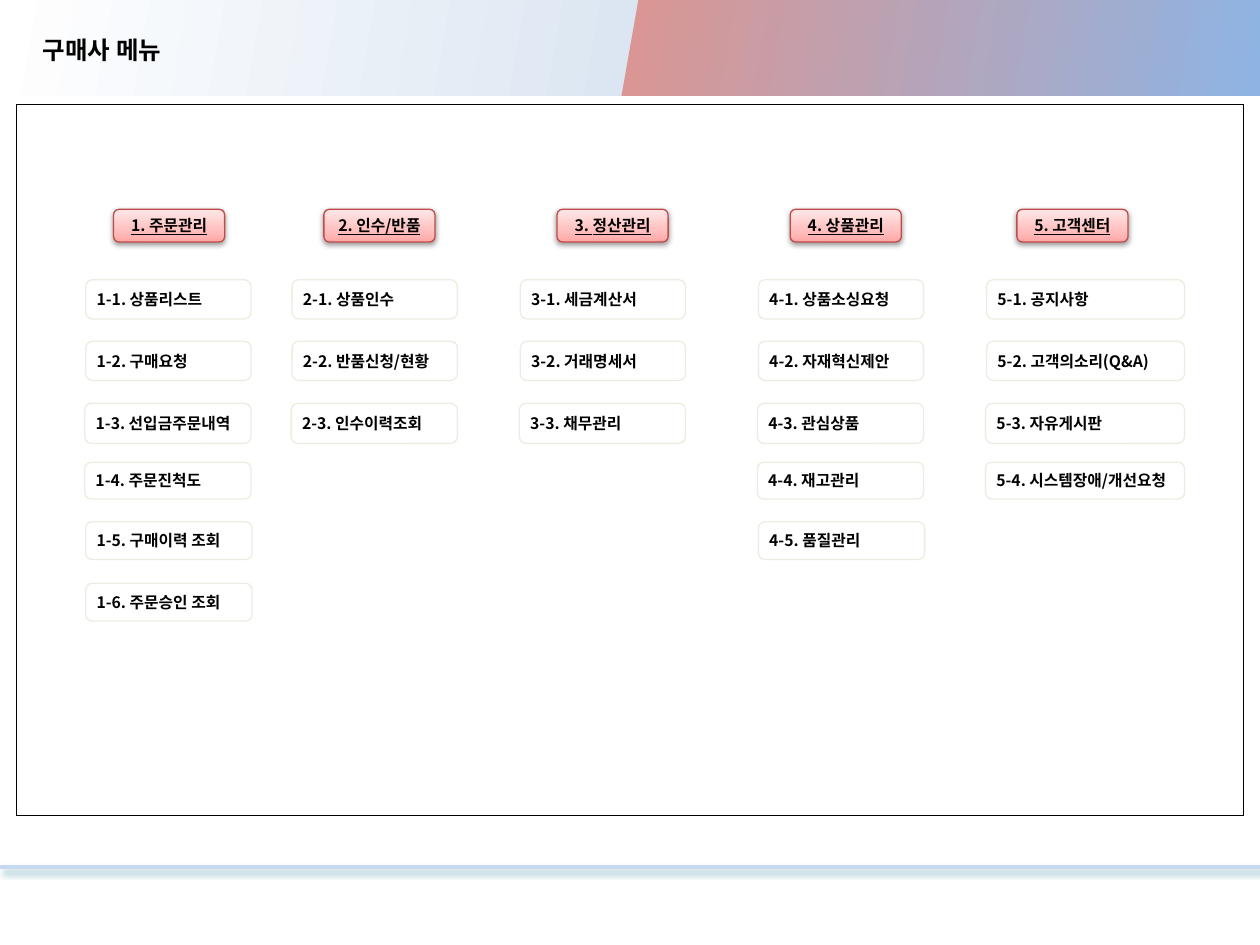
from dataclasses import dataclass

from lxml import etree
from pptx import Presentation
from pptx.dml.color import RGBColor
from pptx.enum.shapes import MSO_CONNECTOR, MSO_SHAPE
from pptx.enum.text import MSO_ANCHOR, MSO_AUTO_SIZE, PP_ALIGN
from pptx.oxml.ns import qn
from pptx.util import Cm, Pt

RECT = MSO_SHAPE.RECTANGLE
ROUND_RECT = MSO_SHAPE.ROUNDED_RECTANGLE
STRAIGHT = MSO_CONNECTOR.STRAIGHT
MIDDLE = MSO_ANCHOR.MIDDLE
NO_FIT = MSO_AUTO_SIZE.NONE
LEFT, CENTER = PP_ALIGN.LEFT, PP_ALIGN.CENTER

WHITE = RGBColor(0xFF, 0xFF, 0xFF)
BLACK = RGBColor(0x00, 0x00, 0x00)
PALE_BLUE = RGBColor(0xDC, 0xE6, 0xF2)
ROSE = RGBColor(0xD9, 0x96, 0x94)
SKY = RGBColor(0x8E, 0xB4, 0xE3)
RULE_BLUE = RGBColor(0xC6, 0xD9, 0xF1)
TEAL = RGBColor(0x31, 0x85, 0x9C)
PINK = RGBColor(0xFF, 0xA6, 0xA5)
MID_PINK = RGBColor(0xFF, 0xC0, 0xBF)
PALE_PINK = RGBColor(0xFF, 0xE7, 0xE7)
RED = RGBColor(0xBF, 0x4C, 0x48)
CREAM = RGBColor(0xEE, 0xEC, 0xE1)

FONT = "Noto Sans CJK KR"
BANNER_STOPS = [(0, WHITE), (50, PALE_BLUE), (50, ROSE), (100, SKY)]
HEADER_STOPS = [(0, PINK), (35, MID_PINK), (100, PALE_PINK)]


@dataclass
class Menu:
    header_x: float
    item_x: float
    item_w: float
    header: str
    items: list[str]


@dataclass
class Row:
    y: float
    h: float
    shift: float
    extra_w: float
    filled: bool


@dataclass
class Shadow:
    color: RGBColor
    alpha: int
    blur: float
    dist: float
    angle: int


HEADER_SHADOW = Shadow(BLACK, 38, 3.1, 1.6, 90)
RULE_SHADOW = Shadow(TEAL, 40, 4, 3, 45)

MENUS = [
    Menu(2.29, 1.73, 3.33, "1. 주문관리",
         ["1-1. 상품리스트", "1-2. 구매요청", "1-3. 선입금주문내역",
          "1-4. 주문진척도", "1-5. 구매이력 조회", "1-6. 주문승인 조회"]),
    Menu(6.53, 5.89, 3.33, "2. 인수/반품",
         ["2-1. 상품인수", "2-2. 반품신청/현황", "2-3. 인수이력조회"]),
    Menu(11.23, 10.49, 3.33, "3. 정산관리",
         ["3-1. 세금계산서", "3-2. 거래명세서", "3-3. 채무관리"]),
    Menu(15.93, 15.29, 3.33, "4. 상품관리",
         ["4-1. 상품소싱요청", "4-2. 자재혁신제안", "4-3. 관심상품",
          "4-4. 재고관리", "4-5. 품질관리"]),
    Menu(20.5, 19.89, 3.99, "5. 고객센터",
         ["5-1. 공지사항", "5-2. 고객의소리(Q&A)", "5-3. 자유게시판",
          "5-4. 시스템장애/개선요청"]),
]
ROWS = [
    Row(5.64, 0.79, 0, 0, True),
    Row(6.88, 0.79, 0, 0, True),
    Row(8.13, 0.81, -0.02, 0.02, False),
    Row(9.32, 0.74, -0.02, 0.02, False),
    Row(10.52, 0.76, 0, 0.02, False),
    Row(11.76, 0.76, 0, 0.02, False),
]


def add_color(parent, color: RGBColor):
    return etree.SubElement(parent, qn("a:srgbClr"), val=str(color))


def set_gradient(sp, stops: list[tuple[int, RGBColor]], angle: int) -> None:
    sp.fill.gradient()
    sp.fill.gradient_angle = 360 - angle
    gs_list = sp._element.spPr.find(qn("a:gradFill")).find(qn("a:gsLst"))
    for gs in list(gs_list):
        gs_list.remove(gs)
    for pos, color in stops:
        gs = etree.SubElement(gs_list, qn("a:gs"), pos=str(pos * 1000))
        add_color(gs, color)


def set_shadow(sp, shadow: Shadow) -> None:
    sp_pr = sp._element.spPr
    effects = sp_pr.find(qn("a:effectLst"))
    if effects is None:
        effects = etree.SubElement(sp_pr, qn("a:effectLst"))
    outer = etree.SubElement(
        effects, qn("a:outerShdw"), blurRad=str(Pt(shadow.blur)),
        dist=str(Pt(shadow.dist)), dir=str(shadow.angle * 60000), rotWithShape="0")
    color = add_color(outer, shadow.color)
    etree.SubElement(color, qn("a:alpha"), val=str(shadow.alpha * 1000))


def add_run(p, text: str, size: float, underline: bool = False) -> None:
    r = p.add_run()
    r.text = text
    r.font.size = Pt(size)
    r.font.bold = True
    if underline:
        r.font.underline = True
    r.font.color.rgb = BLACK
    r.font.name = FONT
    etree.SubElement(r._r.get_or_add_rPr(), qn("a:ea"), typeface=FONT)


def add_box(s, kind, x: float, y: float, w: float, h: float):
    sp = s.shapes.add_shape(kind, Cm(x), Cm(y), Cm(w), Cm(h))
    sp.shadow.inherit = False
    return sp


def add_label(s, x: float, y: float, w: float, h: float, text: str,
              line: RGBColor, align, underline: bool = False):
    sp = add_box(s, ROUND_RECT, x, y, w, h)
    sp.line.color.rgb = line
    sp.line.width = Pt(0.75)
    tf = sp.text_frame
    tf.word_wrap = False
    tf.vertical_anchor = MIDDLE
    tf.margin_left = tf.margin_right = Cm(0.18)
    tf.margin_top = tf.margin_bottom = Cm(0.1)
    p = tf.paragraphs[0]
    p.alignment = align
    add_run(p, text, 9, underline)
    return sp


def add_menu(s, menu: Menu) -> None:
    header = add_label(s, menu.header_x, 4.22, 2.24, 0.66, menu.header, RED, CENTER, True)
    set_gradient(header, HEADER_STOPS, 270)
    set_shadow(header, HEADER_SHADOW)
    for row, text in zip(ROWS, menu.items):
        item = add_label(s, menu.item_x + row.shift, row.y, menu.item_w + row.extra_w,
                         row.h, text, CREAM, LEFT)
        if row.filled:
            item.fill.solid()
            item.fill.fore_color.rgb = WHITE
        else:
            item.fill.background()


def add_frame(s) -> None:
    shape = s.shapes.add_table(1, 1, Cm(0.33), Cm(2.11), Cm(24.74), Cm(14.33))
    table = shape.table
    table.first_row = table.horz_banding = False
    cell = table.cell(0, 0)
    tc_pr = cell._tc.get_or_add_tcPr()
    for side in ("a:lnL", "a:lnR", "a:lnT", "a:lnB"):
        ln = etree.SubElement(tc_pr, qn(side), w=str(Pt(1)))
        add_color(etree.SubElement(ln, qn("a:solidFill")), BLACK)
    cell.fill.background()


def add_title(s) -> None:
    title = s.shapes.title
    s.shapes._spTree.append(title._element)
    title.left, title.top, title.width, title.height = Cm(0.61), Cm(0.58), Cm(11.71), Cm(0.84)
    tf = title.text_frame
    tf.auto_size = NO_FIT
    tf.word_wrap = True
    tf.vertical_anchor = MIDDLE
    p = tf.paragraphs[0]
    p.alignment = LEFT
    add_run(p, "구매사 메뉴", 14)


def main() -> None:
    prs = Presentation()
    prs.slide_width, prs.slide_height = Cm(25.4), Cm(19.05)
    s = prs.slides.add_slide(prs.slide_layouts[5])

    panel = add_box(s, RECT, 0.2, 0.13, 25.07, 17.35)
    panel.fill.solid()
    panel.fill.fore_color.rgb = WHITE
    panel.line.color.rgb = WHITE
    panel.line.width = Pt(2)

    add_frame(s)

    rule = s.shapes.add_connector(STRAIGHT, Cm(0), Cm(17.48), Cm(25.4), Cm(17.48))
    rule.line.color.rgb = RULE_BLUE
    rule.line.width = Pt(2)
    set_shadow(rule, RULE_SHADOW)

    banner = add_box(s, RECT, 0, 0, 25.4, 1.93)
    set_gradient(banner, BANNER_STOPS, 10)
    banner.line.fill.background()

    add_title(s)
    for menu in MENUS:
        add_menu(s, menu)
    prs.save("out.pptx")


if __name__ == "__main__":
    main()
